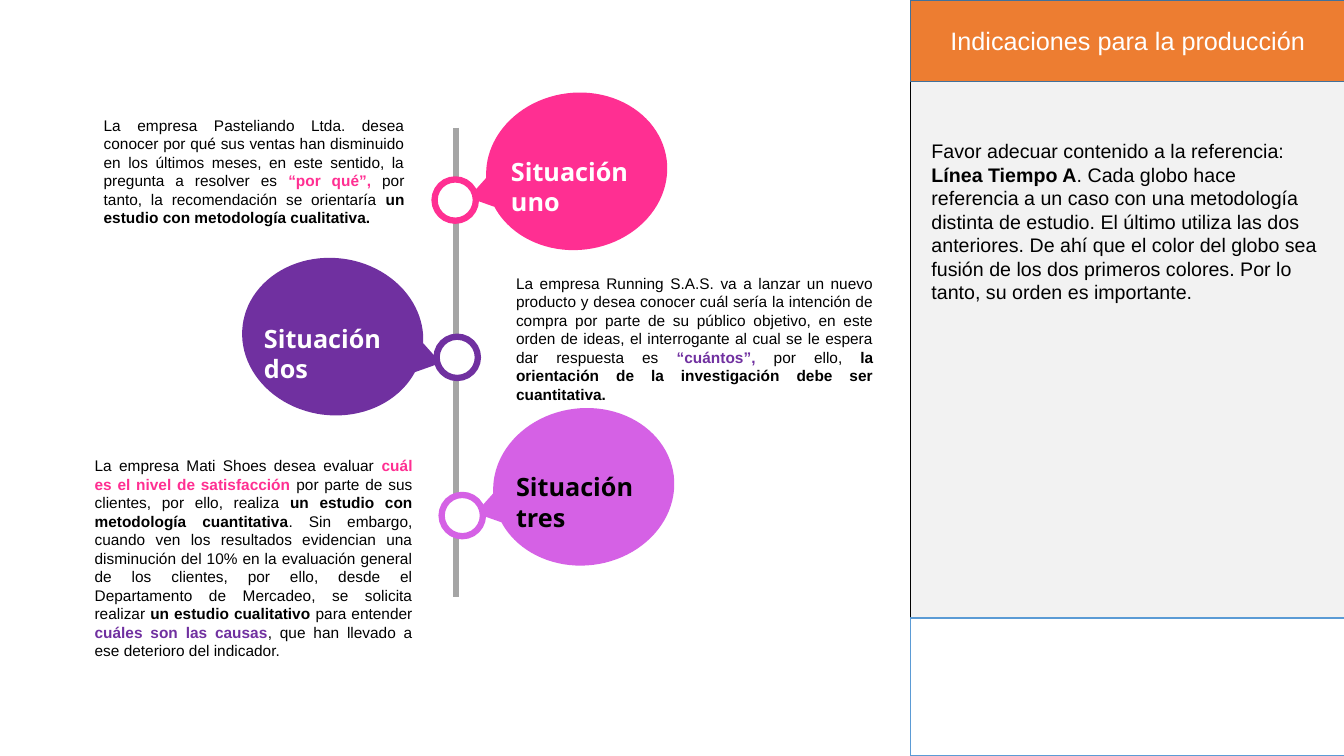
"""Build a slide with a three-case timeline and a production notes panel."""
from lxml import etree
from pptx import Presentation
from pptx import util as u
from pptx.dml.color import RGBColor
from pptx.enum import shapes, text
from pptx.oxml.ns import qn

PINK, PURPLE, ORCHID = "FF2F92", "7030A0", "D561E5"
BLACK, WHITE = "000000", "FFFFFF"
SHAPE, ALIGN = shapes.MSO_SHAPE, text.PP_ALIGN


def add_figure(kind, left, top, width, height, fill, line=None, points=1):
    """Add a filled shape without shadow, outlined if a line colour is given."""
    figure = page.shapes.add_shape(
        kind, u.Inches(left), u.Inches(top), u.Inches(width), u.Inches(height))
    figure.shadow.inherit = False
    figure.fill.solid()
    figure.fill.fore_color.rgb = RGBColor.from_string(fill)
    if line:
        figure.line.color.rgb = RGBColor.from_string(line)
        figure.line.width = u.Pt(points)
    else:
        figure.line.fill.background()
    return figure


def write(box, size, spans, align=ALIGN.LEFT, font="Arial"):
    """Write spans of (words, colour, bold) as one paragraph in the box."""
    box.text_frame.word_wrap = True
    para = box.text_frame.paragraphs[0]
    para.alignment = align
    for words, colour, bold in spans:
        span = para.add_run()
        span.text = words
        span.font.name = font
        span.font.size = u.Pt(size)
        span.font.bold = bold
        span.font.color.rgb = RGBColor.from_string(colour)


deck = Presentation()
deck.slide_width, deck.slide_height = u.Inches(13.33), u.Inches(7.5)
page = deck.slides.add_slide(deck.slide_layouts[6])

add_figure(SHAPE.RECTANGLE, 9.03, 0, 4.31, 7.5, "F2F2F2", BLACK)
notes = page.shapes.add_textbox(u.Inches(9.14), u.Inches(1.33), u.Inches(4.04), u.Inches(3.3))
write(notes, 14, [
    ("Favor adecuar contenido a la referencia: ", BLACK, False),
    ("Línea Tiempo A", BLACK, True),
    (". Cada globo hace referencia a un caso con una metodología distinta de estudio. "
     "El último utiliza las dos anteriores. De ahí que el color del globo sea fusión de "
     "los dos primeros colores. Por lo tanto, su orden es importante.", BLACK, False),
])
header = add_figure(SHAPE.RECTANGLE, 9.03, 0, 4.31, 0.81, "ED7D31", "42719B")
header.text_frame.vertical_anchor = text.MSO_ANCHOR.MIDDLE
write(header, 18, [("Indicaciones para la producción", WHITE, False)], ALIGN.CENTER)
add_figure(SHAPE.RECTANGLE, 9.03, 6.13, 4.32, 1.37, WHITE, "5B9BD5")

axis = page.shapes.add_connector(
    shapes.MSO_CONNECTOR.STRAIGHT, u.Inches(4.52), u.Inches(1.27), u.Inches(4.52), u.Inches(5.92))
axis.line.color.rgb = RGBColor.from_string("A5A5A5")
axis.line.width = u.Pt(4.5)
etree.SubElement(axis._element.spPr, qn("a:effectLst"))

situations = [
    ("Situación uno", PINK, WHITE, -1, (4.82, 0.92), (4.31, 1.78), (4.97, 1.5)),
    ("Situación dos", PURPLE, WHITE, 1, (2.4, 2.56), (4.33, 3.34), (2.52, 3.16)),
    ("Situación tres", ORCHID, BLACK, -1, (4.89, 4.05), (4.38, 4.91), (5.02, 4.63)),
]
for title, colour, ink, side, balloon_at, node_at, title_at in situations:
    balloon = add_figure(SHAPE.OVAL_CALLOUT, *balloon_at, 1.8, 1.56, colour)
    balloon.adjustments[0] = side * 0.61
    balloon.adjustments[1] = 0.08
    balloon.rotation = side * 7.2
    add_figure(SHAPE.OVAL, *node_at, 0.41, 0.41, WHITE, colour, 4.5)
    label = page.shapes.add_textbox(
        u.Inches(title_at[0]), u.Inches(title_at[1]), u.Inches(1.63), u.Inches(0.4))
    label.text_frame.auto_size = text.MSO_AUTO_SIZE.SHAPE_TO_FIT_TEXT
    write(label, 18, [(title, ink, True)], font="Noto Sans")

cases = [
    ((0.93, 1.1, 3.18, 1.21), [
        ("La empresa Pasteliando Ltda. desea conocer por qué sus ventas han disminuido en los "
         "últimos meses, en este sentido, la pregunta a resolver es ", BLACK, False),
        ("“por qué”, ", PINK, True),
        ("por tanto, la recomendación se orientaría ", BLACK, False),
        ("un estudio con metodología cualitativa.", BLACK, True),
    ]),
    ((5.02, 2.67, 3.74, 1.4), [
        ("La empresa Running S.A.S. va a lanzar un nuevo producto y desea conocer cuál sería la "
         "intención de compra por parte de su público objetivo, en este orden de ideas, el "
         "interrogante al cual se le espera dar respuesta es ", BLACK, False),
        ("“cuántos”, ", PURPLE, True),
        ("por ello, ", BLACK, False),
        ("la orientación de la investigación debe ser cuantitativa.", BLACK, True),
    ]),
    ((0.84, 4.48, 3.35, 2.14), [
        ("La empresa Mati Shoes desea evaluar ", BLACK, False),
        ("cuál es el nivel de satisfacción", PINK, True),
        (" por parte de sus clientes, por ello, realiza ", BLACK, False),
        ("un estudio con metodología cuantitativa", BLACK, True),
        (". Sin embargo, cuando ven los resultados evidencian una disminución del 10% en la "
         "evaluación general de los clientes, por ello, desde el Departamento de Mercadeo, "
         "se solicita realizar ", BLACK, False),
        ("un estudio cualitativo ", BLACK, True),
        ("para entender ", BLACK, False),
        ("cuáles son las causas", PURPLE, True),
        (", que han llevado a ese deterioro del indicador.", BLACK, False),
    ]),
]
for frame, spans in cases:
    case = page.shapes.add_textbox(*[u.Inches(length) for length in frame])
    case.text_frame.auto_size = text.MSO_AUTO_SIZE.SHAPE_TO_FIT_TEXT
    write(case, 11, spans, ALIGN.JUSTIFY)

deck.save("out.pptx")
